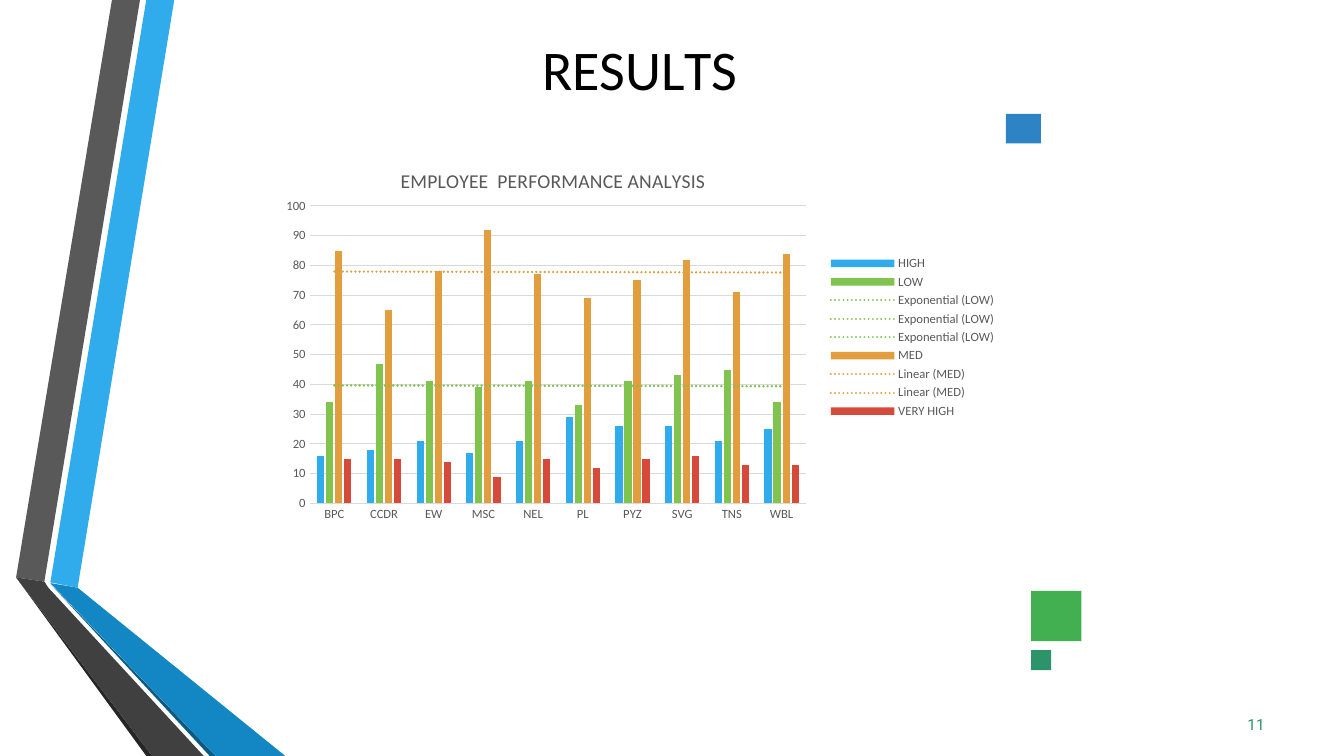
from lxml import etree
from pptx import Presentation
from pptx.chart.data import CategoryChartData
from pptx.dml.color import RGBColor
from pptx.enum.chart import XL_CHART_TYPE, XL_LEGEND_POSITION, XL_TICK_MARK
from pptx.enum.shapes import MSO_SHAPE
from pptx.enum.text import MSO_ANCHOR, PP_ALIGN
from pptx.oxml import parse_xml
from pptx.oxml.ns import nsdecls, qn
from pptx.util import Pt

COLUMN_CLUSTERED = XL_CHART_TYPE.COLUMN_CLUSTERED
LEGEND_RIGHT = XL_LEGEND_POSITION.RIGHT
NO_TICK = XL_TICK_MARK.NONE
RECTANGLE = MSO_SHAPE.RECTANGLE
MIDDLE = MSO_ANCHOR.MIDDLE
CENTER = PP_ALIGN.CENTER

BLACK = RGBColor(0x00, 0x00, 0x00)
TEXT_GRAY = RGBColor(0x59, 0x59, 0x59)
GRID_GRAY = RGBColor(0xD9, 0xD9, 0xD9)
DARK_GRAY = RGBColor(0x40, 0x40, 0x40)
SHADE_GRAY = RGBColor(0x26, 0x26, 0x26)
SKY = RGBColor(0x30, 0xAC, 0xEC)
BLUE = RGBColor(0x12, 0x87, 0xC3)
NAVY = RGBColor(0x0C, 0x5A, 0x82)
STEEL = RGBColor(0x2D, 0x83, 0xC3)
GREEN = RGBColor(0x42, 0xAF, 0x51)
TEAL = RGBColor(0x2D, 0x93, 0x6B)
LIME = RGBColor(0x80, 0xC3, 0x4F)
ORANGE = RGBColor(0xE2, 0x9D, 0x3E)
RED = RGBColor(0xD6, 0x4A, 0x3B)

RIBBONS = [
    (SKY, [(36, 416), (55.5, 419.8), (124.5, 0), (104.5, 0)]),
    (TEXT_GRAY, [(100, 0), (80, 0), (11.5, 412.5), (31.7, 415.5)]),
    (SHADE_GRAY, [(11.5, 412.5), (104.5, 540), (108.7, 540)]),
    (NAVY, [(36, 417), (149.8, 540), (154, 540)]),
    (BLUE, [(36, 416.5), (154, 540), (203.8, 540), (55.5, 419.8)]),
    (DARK_GRAY, [(145.5, 540), (34.5, 419.8), (31.7, 415.5), (11.5, 412.5), (108.7, 540)]),
]
SQUARES = [
    (GREEN, 736.5, 422, 36, 36),
    (STEEL, 718.5, 81.4, 25, 21),
    (TEAL, 736.5, 464.4, 14.4, 14.4),
]
CATEGORIES = ["BPC", "CCDR", "EW", "MSC", "NEL", "PL", "PYZ", "SVG", "TNS", "WBL"]
SERIES = [
    ("HIGH", SKY, [16, 18, 21, 17, 21, 29, 26, 26, 21, 25], None, 0),
    ("LOW", LIME, [34, 47, 41, 39, 41, 33, 41, 43, 45, 34], "exp", 3),
    ("MED", ORANGE, [85, 65, 78, 92, 77, 69, 75, 82, 71, 84], "linear", 2),
    ("VERY HIGH", RED, [15, 15, 14, 9, 15, 12, 15, 16, 13, 13], None, 0),
]


def set_font(font, name, size, color):
    font.name = name
    font.size = Pt(size)
    font.color.rgb = color


def paint(shape, color):
    shape.shadow.inherit = False
    shape.fill.solid()
    shape.fill.fore_color.rgb = color
    shape.line.fill.background()


def add_ribbon(slide, color, points):
    corners = [(Pt(x), Pt(y)) for x, y in points]
    builder = slide.shapes.build_freeform(*corners[0], scale=1.0)
    builder.add_line_segments(corners[1:], close=True)
    paint(builder.convert_to_shape(), color)


def add_square(slide, color, left, top, width, height):
    shape = slide.shapes.add_shape(RECTANGLE, Pt(left), Pt(top), Pt(width), Pt(height))
    paint(shape, color)


def clear_margins(frame):
    frame.margin_left = frame.margin_right = frame.margin_bottom = 0
    frame.margin_top = Pt(1)


def set_title(slide):
    title = slide.shapes.title
    title.left, title.top, title.width, title.height = Pt(361), Pt(18), Pt(192), Pt(60)
    frame = title.text_frame
    clear_margins(frame)
    frame.word_wrap = False
    frame.vertical_anchor = MIDDLE
    paragraph = frame.paragraphs[0]
    paragraph.alignment = CENTER
    paragraph.space_before = Pt(1.1)
    set_font(paragraph.font, "Calibri", 40, BLACK)
    for text, spacing in (("RESU", 0), ("L", -400), ("TS", 0)):
        run = paragraph.add_run()
        run.text = text
        run.font._element.set("spc", str(spacing))


def add_page_number(slide):
    frame = slide.shapes.add_textbox(Pt(888), Pt(510), Pt(18), Pt(15)).text_frame
    clear_margins(frame)
    frame.margin_left = Pt(3)
    frame.word_wrap = False
    paragraph = frame.paragraphs[0]
    paragraph.text = "11"
    set_font(paragraph.font, "Roboto", 11, TEAL)


def place(element, before, inner=False, **fractions):
    for old in element.findall(qn("c:layout")):
        element.remove(old)
    target = '<c:layoutTarget val="inner"/>' if inner else ""
    modes = "".join(f'<c:{key}Mode val="edge"/>' for key in ("x", "y"))
    values = "".join(f'<c:{key} val="{value}"/>' for key, value in fractions.items())
    layout = parse_xml(
        f'<c:layout {nsdecls("c")}><c:manualLayout>{target}{modes}{values}</c:manualLayout></c:layout>'
    )
    element.find(qn(before)).addprevious(layout)


def add_trend(series, kind, color):
    trend = parse_xml(
        f'<c:trendline {nsdecls("c", "a")}><c:spPr><a:ln w="{Pt(1.5)}" cap="rnd"><a:solidFill>'
        f'<a:srgbClr val="{color}"/></a:solidFill><a:prstDash val="sysDot"/></a:ln></c:spPr>'
        f'<c:trendlineType val="{kind}"/><c:dispRSqr val="0"/><c:dispEq val="0"/></c:trendline>'
    )
    series._element.find(qn("c:cat")).addprevious(trend)


def format_axes(chart):
    for axis in (chart.category_axis, chart.value_axis):
        axis.major_tick_mark = axis.minor_tick_mark = NO_TICK
        set_font(axis.tick_labels.font, "Calibri", 9, TEXT_GRAY)
    values = chart.value_axis
    values.minimum_scale, values.maximum_scale, values.major_unit = 0, 100, 10
    values.format.line.fill.background()
    for line in (chart.category_axis.format.line, values.major_gridlines.format.line):
        line.color.rgb = GRID_GRAY
        line.width = Pt(0.75)


def add_performance_chart(slide):
    data = CategoryChartData()
    data.categories = CATEGORIES
    for name, _, values, _, _ in SERIES:
        data.add_series(name, values)
    chart = slide.shapes.add_chart(
        COLUMN_CLUSTERED, Pt(195), Pt(103), Pt(522), Pt(276), data
    ).chart
    set_font(chart.font, "Calibri", 10, BLACK)
    plot = chart.plots[0]
    plot.vary_by_categories = False
    plot.gap_width, plot.overlap = 219, -27
    for series, (_, color, _, kind, count) in zip(plot.series, SERIES):
        series.format.fill.solid()
        series.format.fill.fore_color.rgb = color
        for _ in range(count):
            add_trend(series, kind, color)
    format_axes(chart)

    chart.has_title = True
    paragraph = chart.chart_title.text_frame.paragraphs[0]
    paragraph.text = "EMPLOYEE  PERFORMANCE ANALYSIS"
    set_font(paragraph.font, "Calibri", 14, TEXT_GRAY)
    paragraph.font.bold = False
    chart.has_legend = True
    chart.legend.position = LEGEND_RIGHT
    chart.legend.include_in_layout = False
    set_font(chart.legend.font, "Calibri", 9, TEXT_GRAY)

    place(chart.chart_title._element, "c:overlay", x=0.17, y=0.05)
    place(chart.legend._element, "c:overlay", x=0.76, y=0.28, w=0.23, h=0.44)
    place(plot._element.getparent(), "c:barChart", inner=True, x=0.05, y=0.16, w=0.68, h=0.77)


def main():
    presentation = Presentation()
    presentation.slide_width, presentation.slide_height = Pt(960), Pt(540)
    slide = presentation.slides.add_slide(presentation.slide_layouts[5])
    for color, points in RIBBONS:
        add_ribbon(slide, color, points)
    for square in SQUARES:
        add_square(slide, *square)
    set_title(slide)
    add_page_number(slide)
    add_performance_chart(slide)
    presentation.save("out.pptx")


if __name__ == "__main__":
    main()
